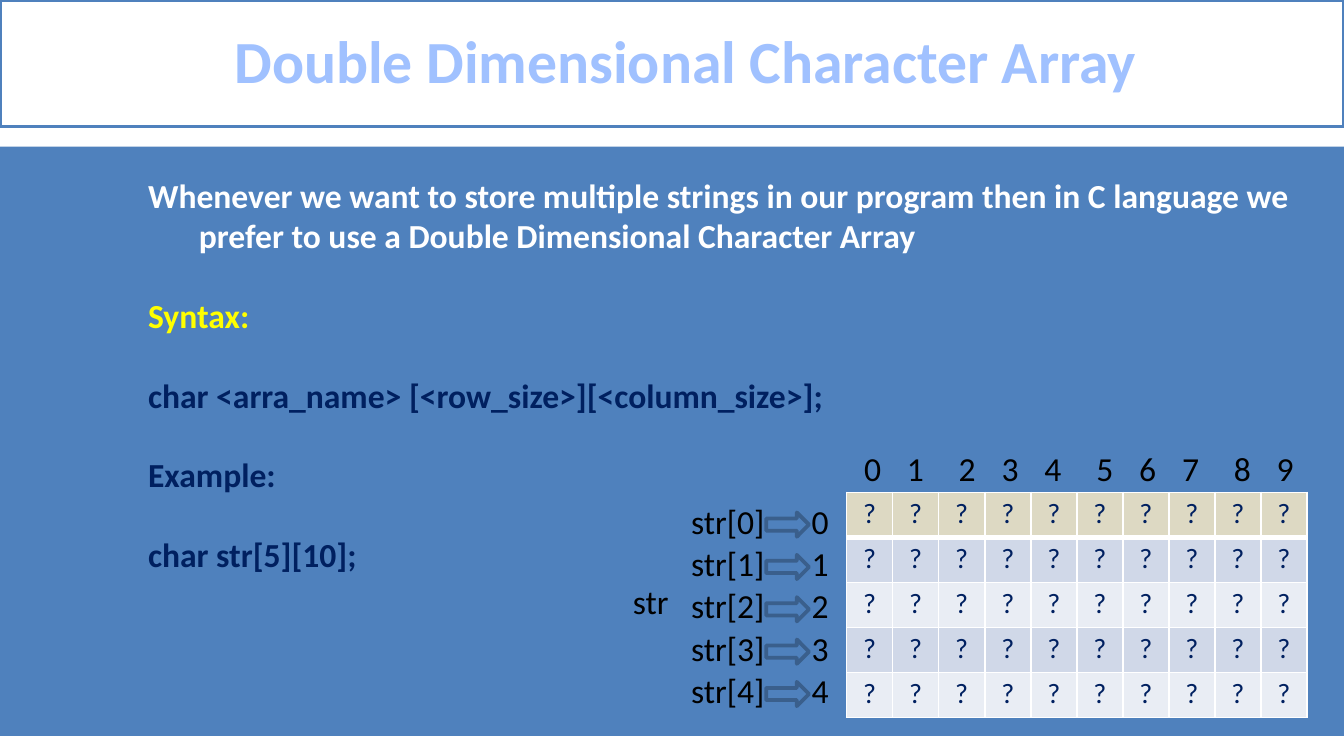
from lxml.etree import SubElement
from pptx import Presentation
from pptx.dml.color import RGBColor
from pptx.enum.shapes import MSO_SHAPE
from pptx.enum.text import MSO_ANCHOR, MSO_AUTO_SIZE, PP_ALIGN
from pptx.oxml.ns import qn
from pptx.util import Cm, Pt

COLORS = {
    "white": "FFFFFF",
    "blue": "4F81BD",
    "arrow_line": "3A5F8C",
    "title": "A0C1FF",
    "yellow": "FFFF00",
    "navy": "002060",
    "black": "000000",
    "first_row": "DDD9C3",
    "odd_row": "D0D8E8",
    "even_row": "E9EDF4",
}
FONTS = {
    "title": {"name": "Calibri", "size": Pt(32), "bold": True},
    "body": {"name": "Calibri", "size": Pt(18), "bold": True},
    "label": {"name": "Calibri", "size": Pt(18), "bold": False},
    "cell": {"name": "Calibri", "size": Pt(15), "bold": False},
}
CELL_MARGINS = {
    "margin_left": Cm(0.12),
    "margin_right": Cm(0.12),
    "margin_top": Cm(0.09),
    "margin_bottom": Cm(0.09),
}
BODY = [
    ("Whenever we want to store multiple strings in our program then in C language "
     "we prefer to use a Double Dimensional Character Array", "white"),
    ("Syntax:", "yellow"),
    ("char <arra_name> [<row_size>][<column_size>];", "navy"),
    ("Example:", "navy"),
    ("char str[5][10];", "navy"),
]
ROWS, COLUMNS = 5, 10
ROW_PITCH = 0.8


def rgb(name):
    return RGBColor.from_string(COLORS[name])


def apply(target, values):
    for name, value in values.items():
        setattr(target, name, value)


def write(paragraph, text, style, color, align=PP_ALIGN.LEFT):
    paragraph.alignment = align
    run = paragraph.add_run()
    run.text = text
    apply(run.font, FONTS[style])
    run.font.color.rgb = rgb(color)


def add_shape(slide, kind, box, fill, line=None):
    shape = slide.shapes.add_shape(kind, *map(Cm, box))
    shape.shadow.inherit = False
    shape.fill.solid()
    shape.fill.fore_color.rgb = rgb(fill)
    if line:
        shape.line.color.rgb = rgb(line)
        shape.line.width = Pt(2)
    else:
        shape.line.fill.background()
    return shape


def add_text_box(slide, box):
    frame = slide.shapes.add_textbox(*map(Cm, box)).text_frame
    apply(frame, {"word_wrap": True, "auto_size": MSO_AUTO_SIZE.SHAPE_TO_FIT_TEXT})
    return frame


def add_label(slide, text, box, align=PP_ALIGN.LEFT):
    write(add_text_box(slide, box).paragraphs[0], text, "label", "black", align)


def indent(paragraph, left, first_line=0):
    properties = paragraph._p.get_or_add_pPr()
    properties.set("marL", str(Cm(left)))
    properties.set("indent", str(Cm(first_line)))


def add_title(slide):
    shape = add_shape(slide, MSO_SHAPE.RECTANGLE, (0, 0, 25.4, 2.39), "white", "blue")
    frame = shape.text_frame
    apply(frame, {"word_wrap": True, "vertical_anchor": MSO_ANCHOR.MIDDLE})
    paragraph = frame.paragraphs[0]
    indent(paragraph, 0.53)
    paragraph.line_spacing = 0.96
    write(paragraph, "Double Dimensional Character Array", "title", "title", PP_ALIGN.CENTER)


def add_body(slide):
    frame = add_text_box(slide, (0, 3.18, 25.4, 11.02))
    for index, (text, color) in enumerate(BODY):
        paragraph = frame.add_paragraph() if index else frame.paragraphs[0]
        paragraph.level = 2
        indent(paragraph, 3.51, -0.96)
        if index:
            paragraph.space_before = Pt(21)
        write(paragraph, text, "body", color)


def set_borders(cell, widths):
    properties = cell._tc.get_or_add_tcPr()
    for side, width in widths.items():
        line = SubElement(properties, qn(f"a:ln{side}"), w=str(Pt(width)))
        fill = SubElement(line, qn("a:solidFill"))
        SubElement(fill, qn("a:srgbClr"), val=COLORS["white"])


def add_grid(slide):
    width, height = 0.87, 0.85
    table = slide.shapes.add_table(
        ROWS, COLUMNS, Cm(16), Cm(9.3), Cm(width * COLUMNS), Cm(height * ROWS)
    ).table
    for column in table.columns:
        column.width = Cm(width)
    for index, row in enumerate(table.rows):
        row.height = Cm(height)
        fill = "first_row" if index == 0 else "odd_row" if index % 2 else "even_row"
        widths = {"L": 1, "R": 1, "T": 3 if index == 1 else 1, "B": 3 if index == 0 else 1}
        for cell in row.cells:
            apply(cell, CELL_MARGINS)
            set_borders(cell, widths)
            cell.fill.solid()
            cell.fill.fore_color.rgb = rgb(fill)
            write(cell.text_frame.paragraphs[0], "?", "cell", "navy", PP_ALIGN.CENTER)


def add_indexes(slide):
    add_label(slide, "str", (11.71, 10.85, 1.19, 1.09))
    for column in range(COLUMNS):
        left = 16.08 + 0.81 * column + 0.17 * ((column + 1) // 3)
        add_label(slide, str(column), (left, 8.33, 0.81, 1.02))
    for row in range(ROWS):
        top = 9.33 + ROW_PITCH * row
        add_label(slide, str(row), (15.09, top, 0.81, 1.02))
        add_label(slide, f"str[{row}]", (12.7, top, 2.11, 1.02), PP_ALIGN.CENTER)
        add_shape(slide, MSO_SHAPE.RIGHT_ARROW, (14.48, top + 0.35, 0.81, 0.46),
                  "blue", "arrow_line")


def main():
    presentation = Presentation()
    apply(presentation, {"slide_width": Cm(25.4), "slide_height": Cm(14.28)})
    slide = presentation.slides.add_slide(presentation.slide_layouts[6])
    add_shape(slide, MSO_SHAPE.RECTANGLE, (0, 2.77, 25.4, 11.13), "blue")
    add_title(slide)
    add_body(slide)
    add_grid(slide)
    add_indexes(slide)
    presentation.save("out.pptx")


if __name__ == "__main__":
    main()
